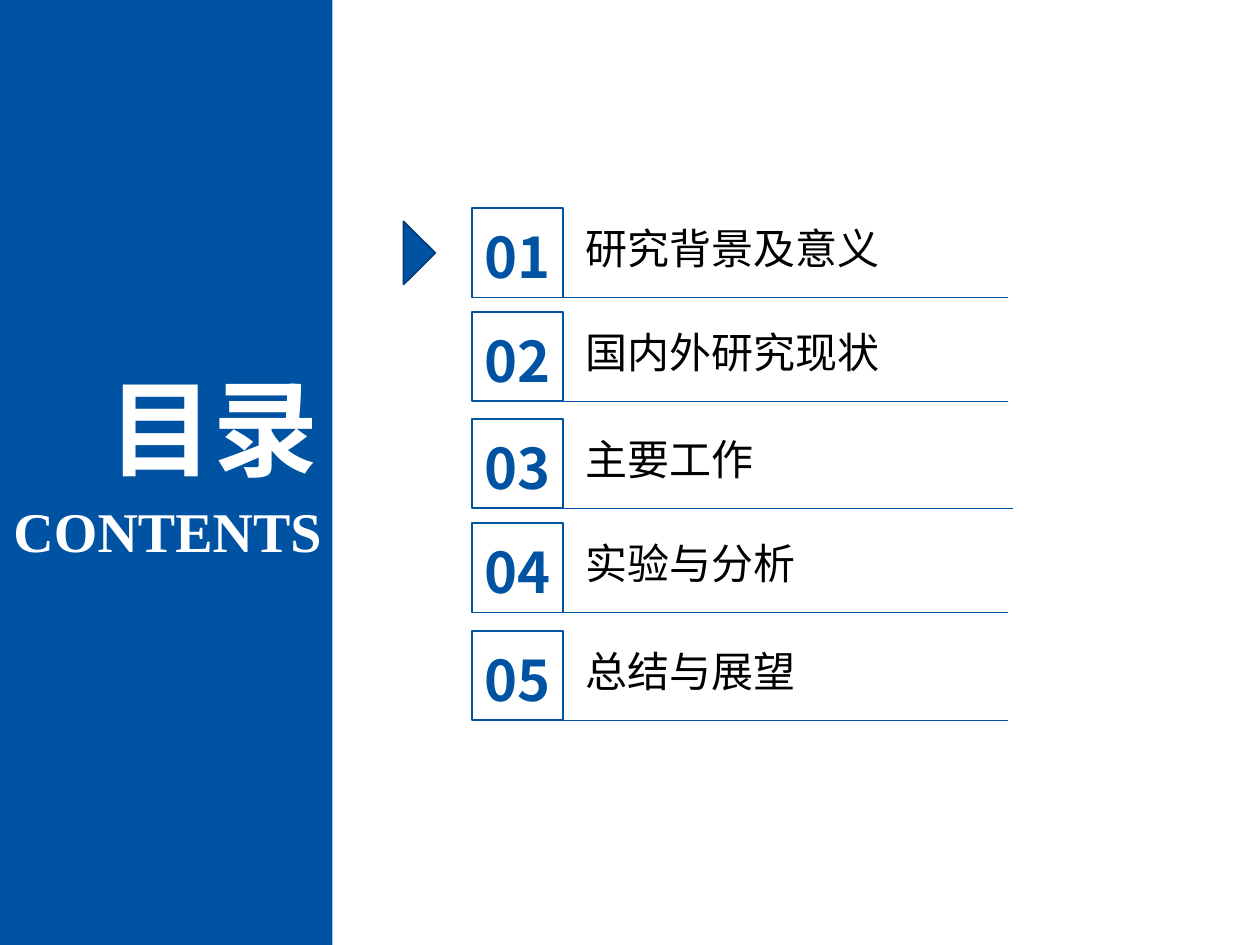
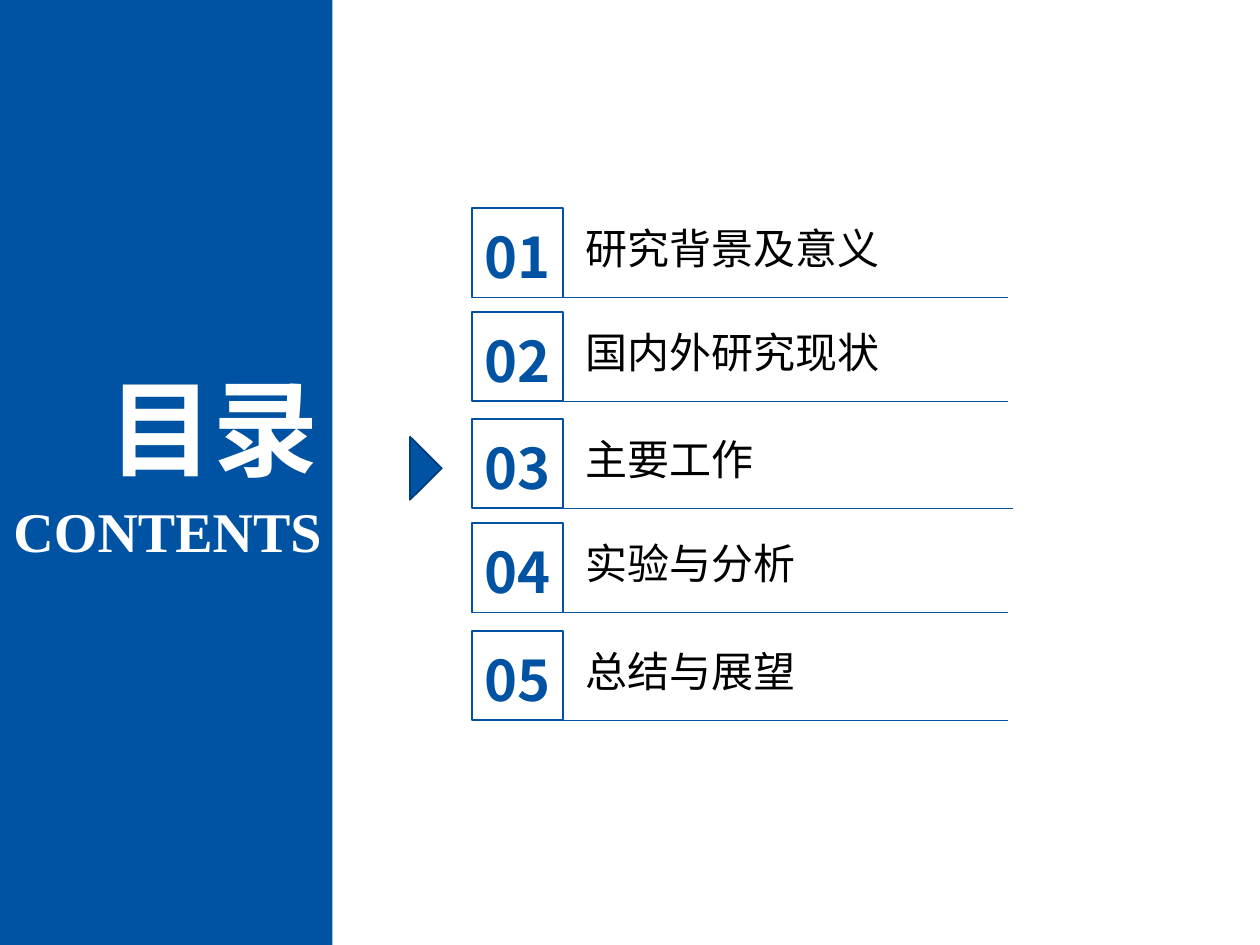
"""Builds the two contents slides, each marking its current chapter."""
from dataclasses import dataclass

from lxml.etree import SubElement
from pptx import Presentation
from pptx.dml.color import RGBColor
from pptx.enum.shapes import MSO_CONNECTOR as Connector, MSO_SHAPE as Shape
from pptx.enum.text import MSO_ANCHOR as Anchor, MSO_AUTO_SIZE as AutoSize, PP_ALIGN as Align
from pptx.oxml.ns import qn
from pptx.util import Cm, Pt


@dataclass(frozen=True)
class Theme:
    blue: RGBColor = RGBColor(0x00, 0x53, 0xA3)
    dark_blue: RGBColor = RGBColor(0x00, 0x3D, 0x79)
    white: RGBColor = RGBColor(0xFF, 0xFF, 0xFF)
    black: RGBColor = RGBColor(0x00, 0x00, 0x00)
    chinese: str = "Noto Sans CJK SC"
    serif: str = "Times New Roman"
    sans: str = "Arial"
    title_size: Pt = Pt(60)
    number_size: Pt = Pt(32)
    label_size: Pt = Pt(24)


def write(box, text, size, color, font, align=Align.LEFT, bold=False):
    frame = box.text_frame
    frame.text = text
    frame.word_wrap = True
    frame.auto_size = AutoSize.SHAPE_TO_FIT_TEXT
    frame.vertical_anchor = Anchor.TOP
    para = frame.paragraphs[0]
    para.alignment = align
    span = para.runs[0]
    span.font.size = size
    span.font.bold = bold
    span.font.color.rgb = color
    span.font.name = font
    east_asian = SubElement(span.font._element, qn("a:ea"))
    east_asian.set("typeface", theme.chinese)


def add_shape(shapes, kind, left, top, width, height, fill=None, line=None):
    shape = shapes.add_shape(kind, Cm(left), Cm(top), Cm(width), Cm(height))
    shape.shadow.inherit = False
    if fill:
        shape.fill.solid()
        shape.fill.fore_color.rgb = fill
    else:
        shape.fill.background()
    if line:
        shape.line.color.rgb = line
        shape.line.width = Pt(1)
    else:
        shape.line.fill.background()
    return shape


theme = Theme()
chapters = [
    ("研究背景及意义", theme.sans, 4.2, 7.82, 0),
    ("国内外研究现状", theme.chinese, 6.29, 7.82, 0),
    ("主要工作", theme.chinese, 8.45, 13.06, 0.1),
    ("实验与分析", theme.chinese, 10.55, 7.82, 0),
    ("总结与展望", theme.chinese, 12.72, 7.82, 0),
]
marker_places = [(7.82, 4.78), (7.95, 9.12)]
square_left, square_width, square_height = 9.52, 1.83, 1.8

deck = Presentation()
deck.slide_width, deck.slide_height = Cm(25.4), Cm(19.05)

for marker_left, marker_top in marker_places:
    page = deck.slides.add_slide(deck.slide_layouts[5])
    title = page.shapes.title
    band = add_shape(page.shapes, Shape.RECTANGLE, 0, 0, 6.7, 19.05, fill=theme.blue)
    title.element.addprevious(band.element)

    title.left, title.top, title.width, title.height = Cm(1.85), Cm(7.21), Cm(4.83), Cm(2.82)
    write(title, "目录", theme.title_size, theme.white, theme.chinese, Align.RIGHT, True)
    subtitle = page.shapes.add_textbox(Cm(-0.5), Cm(9.88), Cm(7.24), Cm(1.63))
    write(subtitle, "CONTENTS", theme.number_size, theme.white, theme.serif, Align.RIGHT, True)

    for number, (label, font, top, label_width, shift) in enumerate(chapters, 1):
        group = page.shapes.add_group_shape()
        text_top = Cm(top + 0.16)
        label_box = group.shapes.add_textbox(Cm(11.56), text_top, Cm(label_width), Cm(1.27))
        write(label_box, label, theme.label_size, theme.black, font)
        number_box = group.shapes.add_textbox(Cm(8.94), text_top, Cm(2.97), Cm(1.63))
        write(number_box, f"{number:02}", theme.number_size, theme.blue, theme.chinese,
              Align.CENTER, True)
        add_shape(group.shapes, Shape.RECTANGLE, square_left, top, square_width, square_height,
                  line=theme.blue)

    marker = add_shape(page.shapes, Shape.ISOSCELES_TRIANGLE, marker_left, marker_top, 1.27, 0.64,
                       fill=theme.blue, line=theme.dark_blue)
    marker.rotation = 90

    for label, font, top, label_width, shift in chapters:
        line_top = Cm(top + square_height)
        underline = page.shapes.add_connector(
            Connector.STRAIGHT, Cm(10.43 + shift), line_top, Cm(20.32 + shift), line_top)
        underline.line.color.rgb = theme.blue
        underline.line.width = Pt(0.5)
        SubElement(underline.element.spPr, qn("a:effectLst"))

deck.save("out.pptx")
